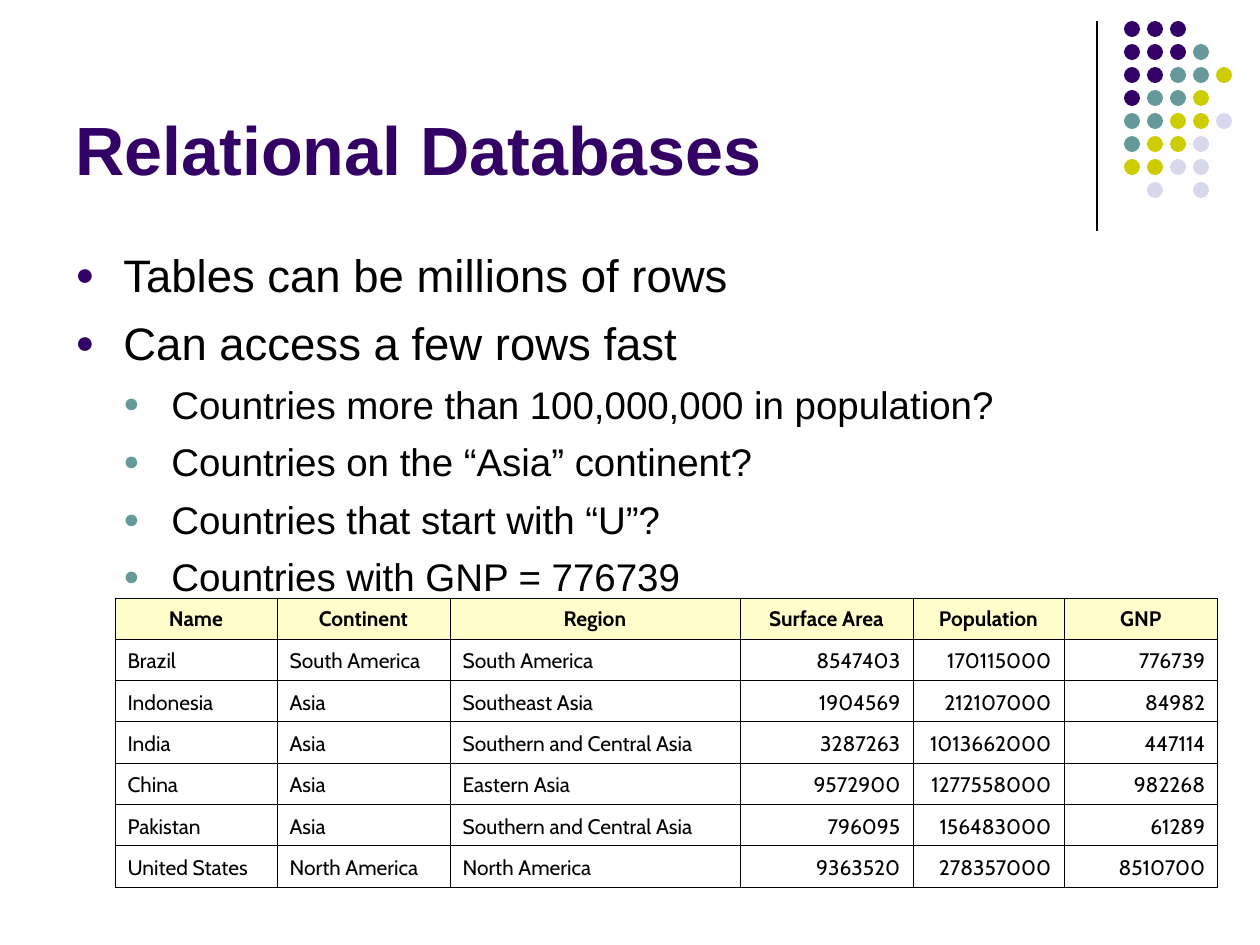
import pptx
import pptx.dml.color
import pptx.enum.shapes
import pptx.enum.text
import pptx.oxml
import pptx.oxml.ns
import pptx.util

RGB = pptx.dml.color.RGBColor
BLACK = RGB(0x00, 0x00, 0x00)
WHITE = RGB(0xFF, 0xFF, 0xFF)
PURPLE = RGB(0x33, 0x00, 0x66)
TEAL = RGB(0x66, 0x99, 0x99)
LIME = RGB(0xCC, 0xCC, 0x00)
LILAC = RGB(0xD8, 0xD8, 0xEC)
CREAM = RGB(0xFF, 0xFF, 0xCC)

ALIGN = pptx.enum.text.PP_ALIGN
ANCHOR = pptx.enum.text.MSO_ANCHOR
SCALE = 914400 / 126

DOTS = ["PPP", "PPPT", "PPTTL", "PTTL", "TTLLV", "TLLV", "LLVV", " V V"]
HUES = {"P": PURPLE, "T": TEAL, "L": LIME, "V": LILAC}

# Per outline level: text size, space before, bullet colour
LEVELS = [(26, 7.5, PURPLE), (22, 6.5, TEAL)]
POINTS = [
    (0, "Tables can be millions of rows"),
    (0, "Can access a few rows fast"),
    (1, "Countries more than 100,000,000 in population?"),
    (1, "Countries on the “Asia” continent?"),
    (1, "Countries that start with “U”?"),
    (1, "Countries with GNP = 776739"),
]

WIDTHS = [162, 173, 290, 173, 151, 154]
ROWS = [
    ("Name", "Continent", "Region", "Surface Area", "Population", "GNP"),
    ("Brazil", "South America", "South America", "8547403", "170115000", "776739"),
    ("Indonesia", "Asia", "Southeast Asia", "1904569", "212107000", "84982"),
    ("India", "Asia", "Southern and Central Asia", "3287263", "1013662000", "447114"),
    ("China", "Asia", "Eastern Asia", "9572900", "1277558000", "982268"),
    ("Pakistan", "Asia", "Southern and Central Asia", "796095", "156483000", "61289"),
    ("United States", "North America", "North America", "9363520", "278357000", "8510700"),
]


def px(*nums):
    """Turn px lengths into EMU."""
    return [pptx.util.Emu(round(n * SCALE)) for n in nums]


def xml(tag, body="", **attrs):
    """Make one DrawingML element."""
    text = "".join(f' {key}="{val}"' for key, val in attrs.items())
    space = pptx.oxml.ns.nsdecls("a")
    return pptx.oxml.parse_xml(f"<a:{tag} {space}{text}>{body}</a:{tag}>")


class Deck:
    def __init__(self, wide, high):
        self.file = pptx.Presentation()
        self.file.slide_width, self.file.slide_height = px(wide, high)
        self.slide = self.file.slides.add_slide(self.file.slide_layouts[6])
        self.base = {"name": "Arial", "bold": False}

    def text(self, para, words, color=BLACK, **form):
        run = para.add_run()
        run.text = words
        for key, val in {**self.base, **form}.items():
            setattr(run.font, key, val)
        run.font.color.rgb = color

    def box(self, area, **form):
        frame = self.slide.shapes.add_textbox(*px(*area)).text_frame
        for key, val in {"word_wrap": True, **form}.items():
            setattr(frame, key, val)
        return frame

    def line(self, *ends):
        kind = pptx.enum.shapes.MSO_CONNECTOR.STRAIGHT
        rule = self.slide.shapes.add_connector(kind, *px(*ends))
        rule.line.width = pptx.util.Pt(0.75)
        rule.line.color.rgb = BLACK
        rule._element.spPr.append(xml("effectLst"))

    def dot(self, left, top, size, color):
        kind = pptx.enum.shapes.MSO_SHAPE.OVAL
        oval = self.slide.shapes.add_shape(kind, *px(left, top, size, size))
        oval.shadow.inherit = False
        oval.fill.solid()
        oval.fill.fore_color.rgb = color
        oval.line.fill.background()

    def title(self, area, words):
        frame = self.box(area, vertical_anchor=ANCHOR.BOTTOM)
        self.text(frame.paragraphs[0], words, PURPLE, size=pptx.util.Pt(39), bold=True)

    def bullets(self, area, points):
        frame = self.box(area, margin_top=px(10)[0])
        step = px(48)[0]
        for num, (level, words) in enumerate(points):
            size, gap, color = LEVELS[level]
            para = frame.add_paragraph() if num else frame.paragraphs[0]
            para.level = level
            props = para._p.get_or_add_pPr()
            props.set("marL", str(step * (level + 1)))
            props.set("indent", str(-step))
            props.append(xml("buClr", f'<a:srgbClr val="{color}"/>'))
            props.append(xml("buSzPct", val=70000))
            props.append(xml("buFont", typeface="Arial"))
            props.append(xml("buChar", char="●"))
            if num:
                para.space_before = pptx.util.Pt(gap)
            self.text(para, words, size=pptx.util.Pt(size))

    def cell(self, cell, words, fill, anchor, align, bold):
        cell.vertical_anchor = anchor
        para = cell.text_frame.paragraphs[0]
        para.alignment = align
        self.text(para, words, name="Cabin", size=pptx.util.Pt(12), bold=bold)
        ink = f'<a:solidFill><a:srgbClr val="{BLACK}"/></a:solidFill>'
        for side in "LRTB":
            cell._tc.get_or_add_tcPr().append(
                xml("ln" + side, ink, w=pptx.util.Pt(0.45)))
        cell.fill.solid()
        cell.fill.fore_color.rgb = fill

    def table(self, left, top, high, widths, rows):
        count = len(rows)
        area = px(left, top, sum(widths), high)
        grid = self.slide.shapes.add_table(count, len(widths), *area).table
        grid.first_row = grid.horz_banding = False
        for col, wide in zip(grid.columns, px(*widths)):
            col.width = wide
        for r, row in enumerate(rows):
            grid.rows[r].height = px(high / count)[0]
            for c, words in enumerate(row):
                side = ALIGN.RIGHT if words.isdigit() else ALIGN.LEFT
                form = (WHITE, ANCHOR.BOTTOM, side, False)
                if r == 0:
                    form = (CREAM, ANCHOR.MIDDLE, ALIGN.CENTER, True)
                self.cell(grid.cell(r, c), words, *form)


def main():
    deck = Deck(1260, 945)
    deck.line(1097, 21, 1097, 231)
    for r, row in enumerate(DOTS):
        for c, key in enumerate(row):
            if key in HUES:
                deck.dot(1124 + 23 * c, 21 + 23 * r, 16, HUES[key])
    deck.title((63, 16, 1040, 179), "Relational Databases")
    deck.bullets((63, 237, 1081, 607), POINTS)
    deck.table(115, 598, 289, WIDTHS, ROWS)
    deck.file.save("out.pptx")


if __name__ == "__main__":
    main()
